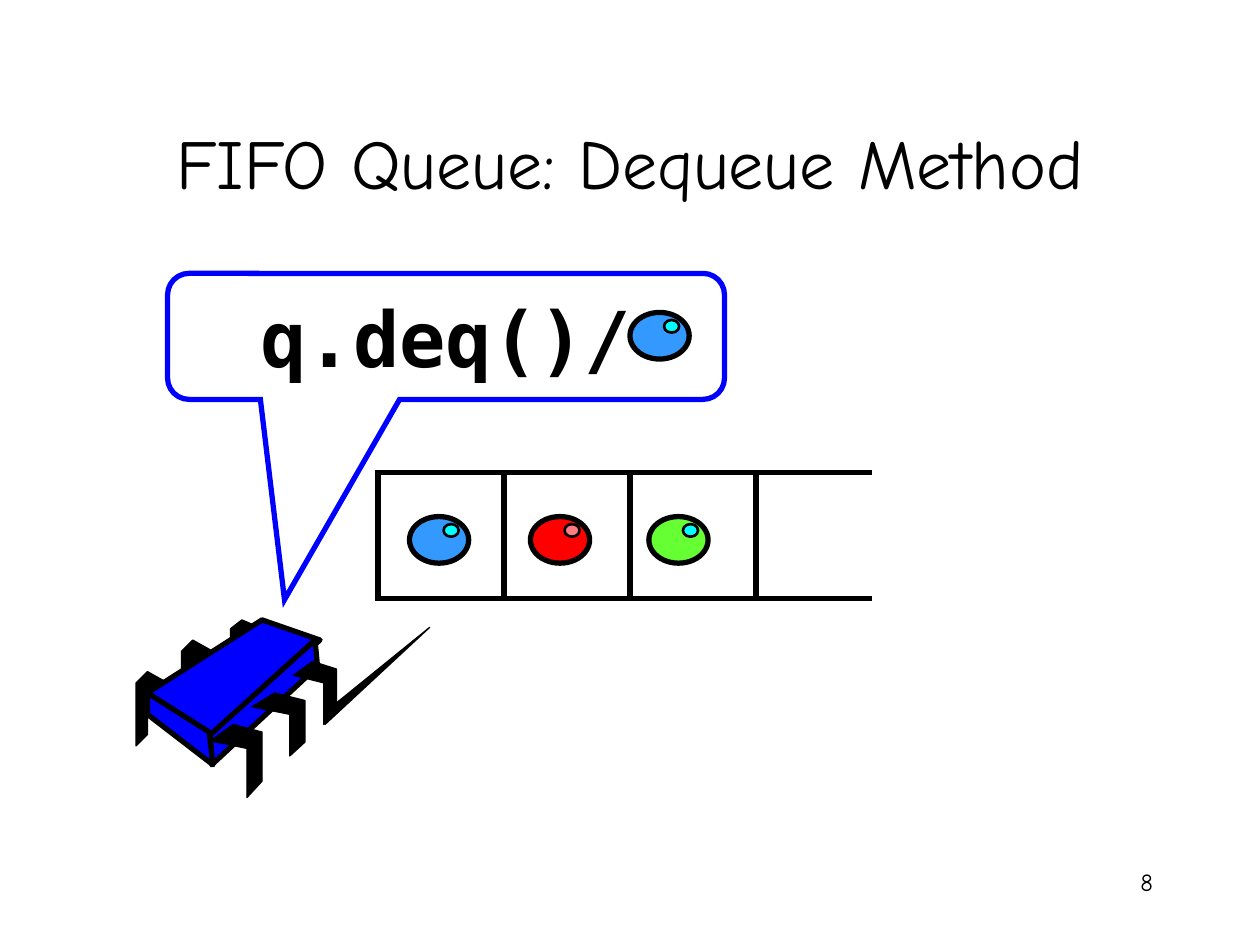
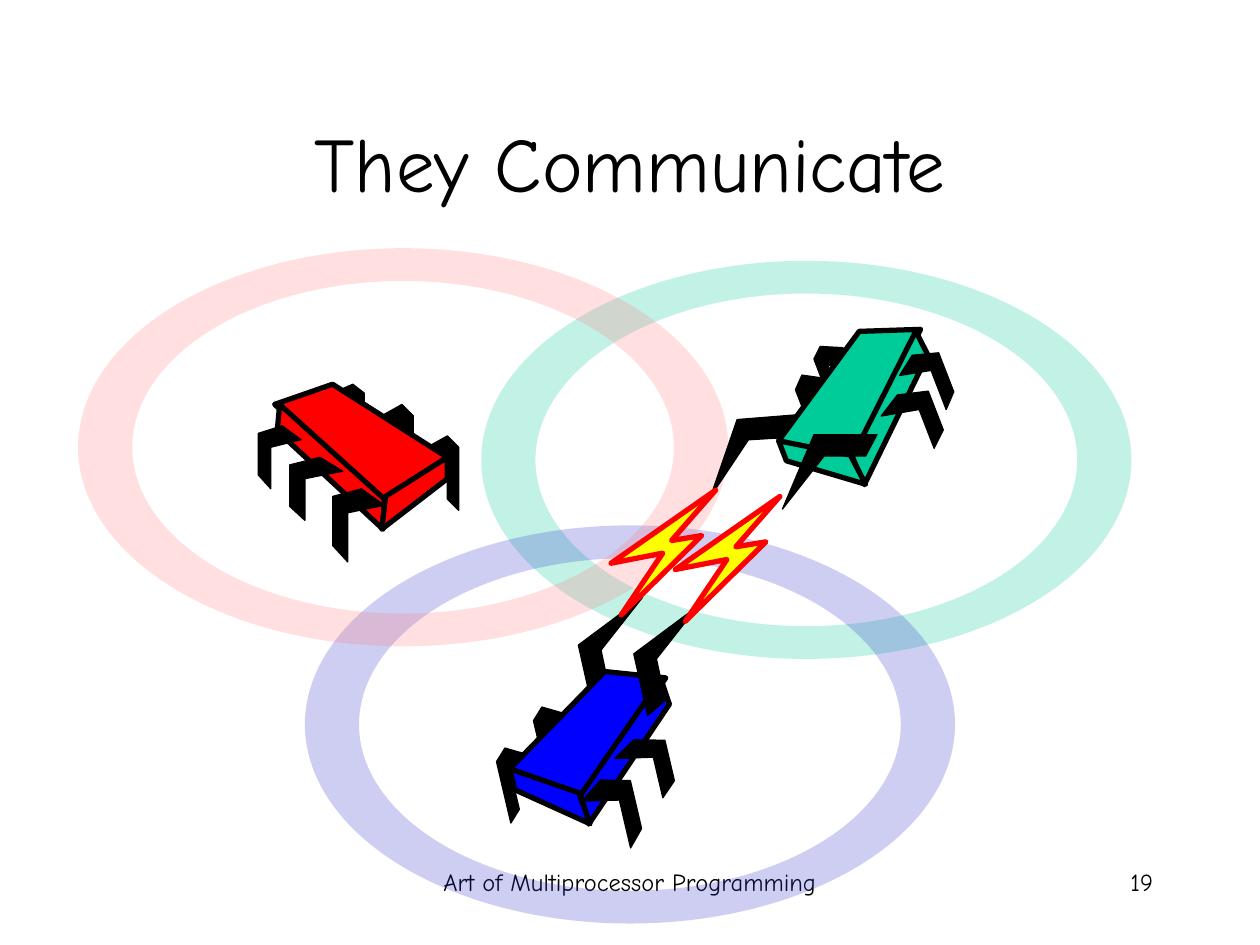
"""Build two slides on shared objects: a queue and three chatting chips."""
from dataclasses import dataclass
from math import cos, radians, sin
from typing import NamedTuple, Optional

from lxml.etree import Element, SubElement
from pptx import Presentation
from pptx.dml.color import RGBColor
from pptx.enum.shapes import MSO_CONNECTOR, MSO_SHAPE
from pptx.enum.text import MSO_ANCHOR, PP_ALIGN
from pptx.oxml.ns import qn
from pptx.shapes.autoshape import Shape
from pptx.shapes.shapetree import GroupShapes
from pptx.slide import Slide
from pptx.text.text import TextFrame
from pptx.util import Inches, Pt

Point = tuple[float, float]
Points = tuple[Point, ...]


@dataclass(frozen=True)
class Theme:
    """Colours, fonts and sizes of the deck."""
    black: str = "000000"
    blue: str = "0000FF"
    red: str = "FF0000"
    teal: str = "00CC99"
    rose: str = "FF7C80"
    navy: str = "3333CC"
    sky: str = "3399FF"
    lime: str = "66FF33"
    cyan: str = "00FFFF"
    yellow: str = "FFFF00"
    font: str = "Comic Neue"
    mono: str = "DejaVu Sans Mono"
    small: float = 14
    title: float = 40
    large: float = 44
    thick: float = 3
    mid: float = 1.5
    thin: float = 0.75


THEME = Theme()


class Box(NamedTuple):
    """Place and size in inches."""
    left: float
    top: float
    width: float
    height: float


class Bead(NamedTuple):
    """A queue item with its glint."""
    left: float
    top: float
    color: str
    glint: str


class Ring(NamedTuple):
    """A pale oval band around a centre."""
    x: float
    y: float
    color: str


class Chip(NamedTuple):
    """A processor, its pose, the legs it keeps and its own limbs."""
    x: float
    y: float
    color: str
    back: tuple[Points, ...]
    front: tuple[Points, ...]
    turn: float = 0
    flip: int = 1
    behind: tuple[Points, ...] = ()
    before: tuple[Points, ...] = ()


TITLE = Box(0.75, 0.66, 8.5, 1.25)
FOOTER = Box(3.42, 6.83, 3.17, 0.5)
NUMBER = Box(7.17, 6.83, 2.08, 0.5)
HOME = (2.08, 4.92)


def shift(points: Points, dx: float, dy: float) -> Points:
    """Move an outline."""
    return tuple((x + dx, y + dy) for x, y in points)


LEFT = ((1.33, 5.42), (1.17, 5.33), (1.08, 5.42), (1.08, 5.92),
        (1.17, 5.83), (1.17, 5.5), (1.33, 5.58))
BACK = (
    LEFT,
    shift(LEFT, 0.36, -0.25),
    ((2.08, 4.99), (1.92, 4.92), (1.83, 4.99), (1.83, 5.42),
     (1.92, 5.35), (1.92, 5.06), (2.08, 5.13)),
)
BODY = (
    ((2.08, 4.92), (1.17, 5.5), (1.68, 5.85), (2.54, 5.08)),
    ((2.5, 5.08), (1.67, 5.83), (1.68, 6.07), (2.52, 5.29)),
    ((1.17, 5.5), (1.17, 5.67), (1.69, 6.07), (1.66, 5.81)),
)
FRONT = (
    ((1.85, 5.75), (1.67, 5.88), (1.96, 5.94), (1.96, 6.33),
     (2.08, 6.2), (2.08, 5.81)),
    ((2.18, 5.5), (2, 5.61), (2.3, 5.67), (2.3, 6), (2.42, 5.89), (2.42, 5.56)),
    ((2.48, 5.25), (2.33, 5.36), (2.57, 5.42), (2.57, 5.75),
     (2.67, 5.64), (2.67, 5.31)),
)
SPIKE = ((2.58, 5.75), (2.67, 5.58), (3.41, 4.98))
ARM = ((4.7, 5.61), (4.84, 5.49), (4.77, 5.16), (5.1, 4.74), (4.59, 5.12))
BOLT = ((4.93, 4.88), (5.26, 4.39), (4.85, 4.47), (5.68, 3.89),
        (5.33, 4.29), (5.57, 4.25))

BEADS = (Bead(5.15, 4.1, THEME.lime, THEME.cyan),
         Bead(4.21, 4.1, THEME.red, THEME.rose),
         Bead(3.25, 4.1, THEME.sky, THEME.cyan),
         Bead(5, 2.48, THEME.sky, THEME.cyan))
RINGS = (Ring(6.4, 3.65, THEME.teal),
         Ring(5, 5.75, THEME.navy),
         Ring(3.2, 3.55, THEME.rose))
CALLER = Chip(*HOME, THEME.blue, BACK, FRONT)
CHIPS = (
    Chip(2.64, 3.05, THEME.red, BACK, FRONT, flip=-1),
    Chip(4.8, 5.33, THEME.blue, BACK[:2], FRONT[:2], turn=-13.2,
         behind=(ARM,), before=(shift(ARM, 0.44, 0.07),)),
    Chip(6.82, 2.63, THEME.teal, BACK[1:2], FRONT[1:2], turn=-21.1,
         behind=(
             ((6.35, 3.29), (6.28, 3.47), (5.94, 3.49), (5.64, 3.94), (5.85, 3.33)),
             ((6.69, 2.76), (6.51, 2.75), (6.46, 2.85), (6.64, 3.32),
              (6.69, 3.21), (6.57, 2.9), (6.75, 2.92))),
         before=(
             ((7.24, 2.82), (7.14, 2.98), (7.39, 2.94), (7.51, 3.25),
              (7.57, 3.11), (7.45, 2.8)),
             ((6.96, 3.45), (6.87, 3.62), (6.54, 3.62), (6.21, 4.04), (6.46, 3.45)))),
)


def inch(box: Box) -> list[int]:
    """Turn a box into lengths."""
    return [Inches(side) for side in box]


def paint(shape: Shape, fill: Optional[str], line: Optional[str] = None,
          width: float = THEME.thick, sharp: bool = False) -> None:
    """Set fill, line and corners, and drop the shadow."""
    shape.shadow.inherit = False
    for part, color in ((shape.fill, fill), (shape.line.fill, line)):
        if color:
            part.solid()
            part.fore_color.rgb = RGBColor.from_string(color)
        else:
            part.background()
    if line:
        shape.line.width = Pt(width)
    if sharp:
        edge = shape.element.spPr.find(qn("a:ln"))
        SubElement(edge, qn("a:miter")).set("lim", "800000")


def write(frame: TextFrame, text: str, size: float, align: PP_ALIGN,
          anchor: MSO_ANCHOR = MSO_ANCHOR.TOP, font: str = THEME.font,
          bold: bool = False) -> None:
    """Put one run into a frame."""
    frame.word_wrap = True
    frame.vertical_anchor = anchor
    line = frame.paragraphs[0]
    line.alignment = align
    run = line.add_run()
    run.text = text
    run.font.name, run.font.size, run.font.bold = font, Pt(size), bold
    run.font.color.rgb = RGBColor.from_string(THEME.black)


def label(slide: Slide, box: Box, text: str, size: float, align: PP_ALIGN,
          anchor: MSO_ANCHOR = MSO_ANCHOR.TOP) -> None:
    """Add a text box."""
    write(slide.shapes.add_textbox(*inch(box)).text_frame, text, size, align, anchor)


def start(deck: Presentation, title: str, size: float, number: str) -> Slide:
    """Add a slide with its title and number."""
    slide = deck.slides.add_slide(deck.slide_layouts[6])
    label(slide, NUMBER, number, THEME.small, PP_ALIGN.RIGHT)
    label(slide, TITLE, title, size, PP_ALIGN.CENTER, MSO_ANCHOR.MIDDLE)
    return slide


def trace(shapes: GroupShapes, *paths: Points) -> Shape:
    """Build a closed outline from one or more paths."""
    first, *rest = [[(Inches(x), Inches(y)) for x, y in path] for path in paths]
    pen = shapes.build_freeform(*first[0])
    pen.add_line_segments(first[1:], close=True)
    for path in rest:
        pen.move_to(*path[0])
        pen.add_line_segments(path[1:], close=True)
    return pen.convert_to_shape()


def limb(shapes: GroupShapes, points: Points) -> None:
    """Draw a black limb."""
    paint(trace(shapes, points), THEME.black, THEME.black, THEME.thin)


def pose(chip: Chip, points: Points) -> Points:
    """Flip, turn and move an outline to where the chip stands."""
    angle = radians(chip.turn)
    flat = [((x - HOME[0]) * chip.flip, y - HOME[1]) for x, y in points]
    return tuple((chip.x + x * cos(angle) - y * sin(angle),
                  chip.y + x * sin(angle) + y * cos(angle)) for x, y in flat)


def draw_chip(slide: Slide, chip: Chip) -> None:
    """Draw a chip from back legs to front legs."""
    shapes = slide.shapes.add_group_shape().shapes
    for points in chip.behind:
        limb(shapes, points)
    for points in chip.back:
        limb(shapes, pose(chip, points))
    for points in BODY:
        paint(trace(shapes, pose(chip, points)), chip.color, THEME.black)
    for points in chip.front:
        limb(shapes, pose(chip, points))
    for points in chip.before:
        limb(shapes, points)


def draw_bead(slide: Slide, bead: Bead) -> None:
    """Draw a bead and its glint."""
    shapes = slide.shapes.add_group_shape().shapes
    ball = Box(bead.left, bead.top, 0.47, 0.37)
    spot = Box(bead.left + 0.27, bead.top + 0.06, 0.12, 0.1)
    for box, color, width in ((ball, bead.color, THEME.thick),
                              (spot, bead.glint, THEME.mid)):
        oval = shapes.add_shape(MSO_SHAPE.OVAL, *inch(box))
        paint(oval, color, THEME.black, width)


def draw_ring(slide: Slide, ring: Ring) -> None:
    """Draw a see-through oval band whose sides are quarter arcs."""
    ovals = ((2.58, 1.58, 90), (2.15, 1.32, -90))
    band = trace(slide.shapes, *(
        tuple((ring.x + wide * cos(radians(sweep * step)),
               ring.y + high * sin(radians(sweep * step))) for step in range(5))
        for wide, high, sweep in ovals))
    for index, side in enumerate(list(band.element.iter(qn("a:lnTo")))):
        wide, high, sweep = ovals[index // 4]
        side.getparent().replace(side, Element(
            qn("a:arcTo"), wR=str(Inches(wide)), hR=str(Inches(high)),
            stAng=str(sweep * (index % 4) % 360 * 60000), swAng=str(sweep * 60000)))
    paint(band, ring.color)
    color = band.element.spPr.find(".//" + qn("a:srgbClr"))
    SubElement(color, qn("a:alpha")).set("val", "24000")


def draw_queue(slide: Slide) -> None:
    """Draw three cells and the open end."""
    for column in range(3):
        cell = slide.shapes.add_shape(MSO_SHAPE.RECTANGLE,
                                      *inch(Box(3 + column, 3.75, 1, 1)))
        paint(cell, None, THEME.black, sharp=True)
    for y in (3.75, 4.75):
        rail = slide.shapes.add_connector(MSO_CONNECTOR.STRAIGHT, Inches(5.92),
                                          Inches(y), Inches(6.92), Inches(y))
        rail.line.color.rgb = RGBColor.from_string(THEME.black)
        rail.line.width = Pt(THEME.thick)
        SubElement(rail.element.spPr, qn("a:effectLst"))


def draw_call(slide: Slide) -> None:
    """Draw the speech bubble with the call."""
    bubble = slide.shapes.add_shape(MSO_SHAPE.ROUNDED_RECTANGULAR_CALLOUT,
                                    *inch(Box(1.33, 2.17, 4.42, 1)))
    for index, value in enumerate((-0.29, 2.09, 0.17)):
        bubble.adjustments[index] = value
    paint(bubble, None, THEME.blue, sharp=True)
    write(bubble.text_frame, "q.deq()/", THEME.large, PP_ALIGN.CENTER,
          MSO_ANCHOR.MIDDLE, THEME.mono, True)


def main() -> None:
    """Build and save the deck."""
    deck = Presentation()
    deck.slide_width, deck.slide_height = Inches(10), Inches(7.5)

    queue = start(deck, "FIFO Queue: Dequeue Method", THEME.title, "8")
    draw_queue(queue)
    for bead in BEADS[:2]:
        draw_bead(queue, bead)
    draw_chip(queue, CALLER)
    limb(queue.shapes, SPIKE)
    draw_call(queue)
    for bead in BEADS[2:]:
        draw_bead(queue, bead)

    talk = start(deck, "They Communicate", THEME.large, "19")
    label(talk, FOOTER, "Art of Multiprocessor Programming", THEME.small, PP_ALIGN.LEFT)
    for ring in RINGS:
        draw_ring(talk, ring)
    for chip in CHIPS:
        draw_chip(talk, chip)
    for step in range(2):
        bolt = trace(talk.shapes, shift(BOLT, 0.51 * step, 0.05 * step))
        paint(bolt, THEME.yellow, THEME.red)
    deck.save("out.pptx")


if __name__ == "__main__":
    main()
